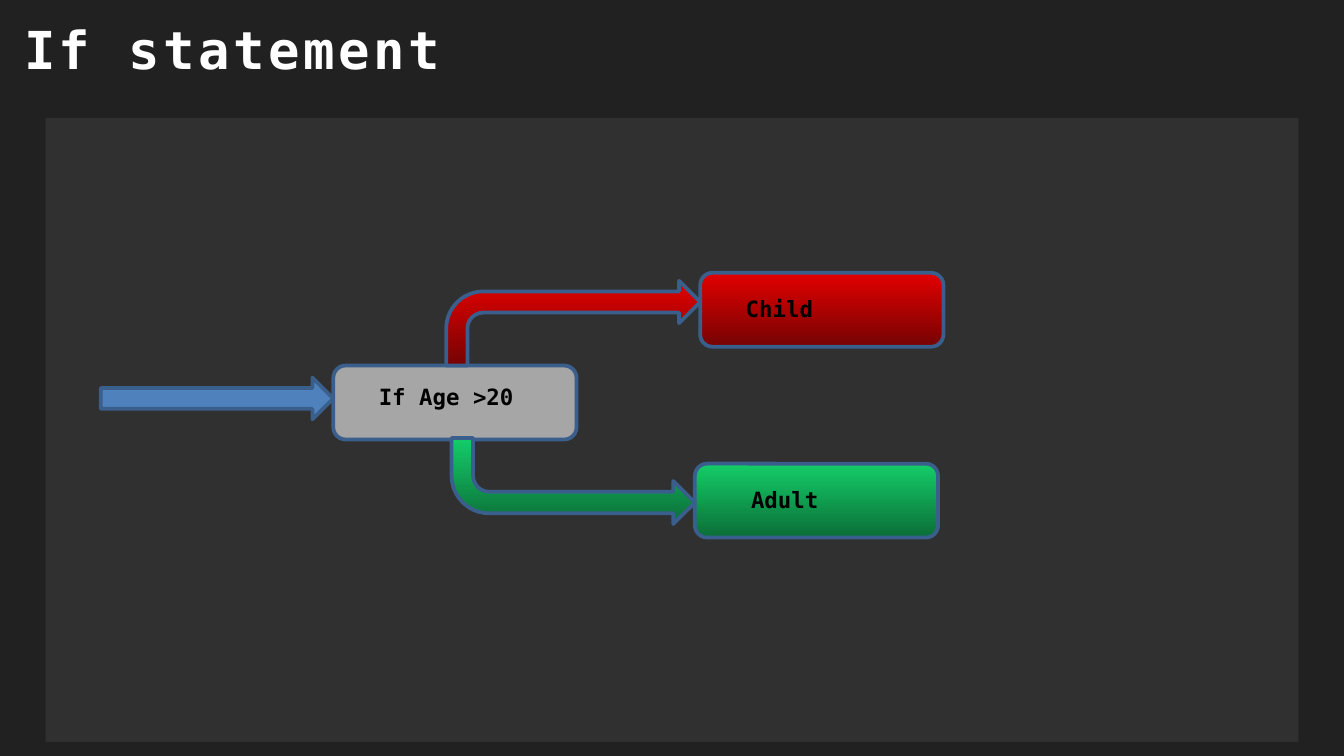
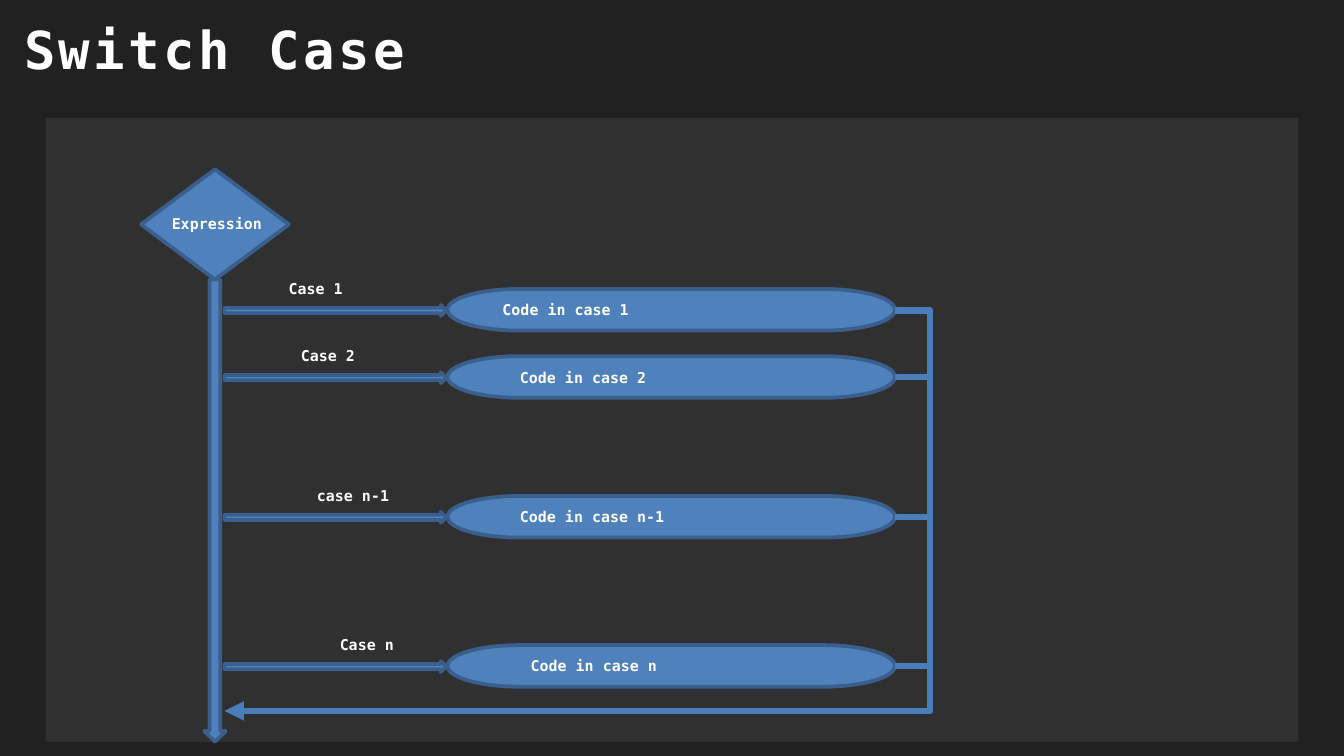
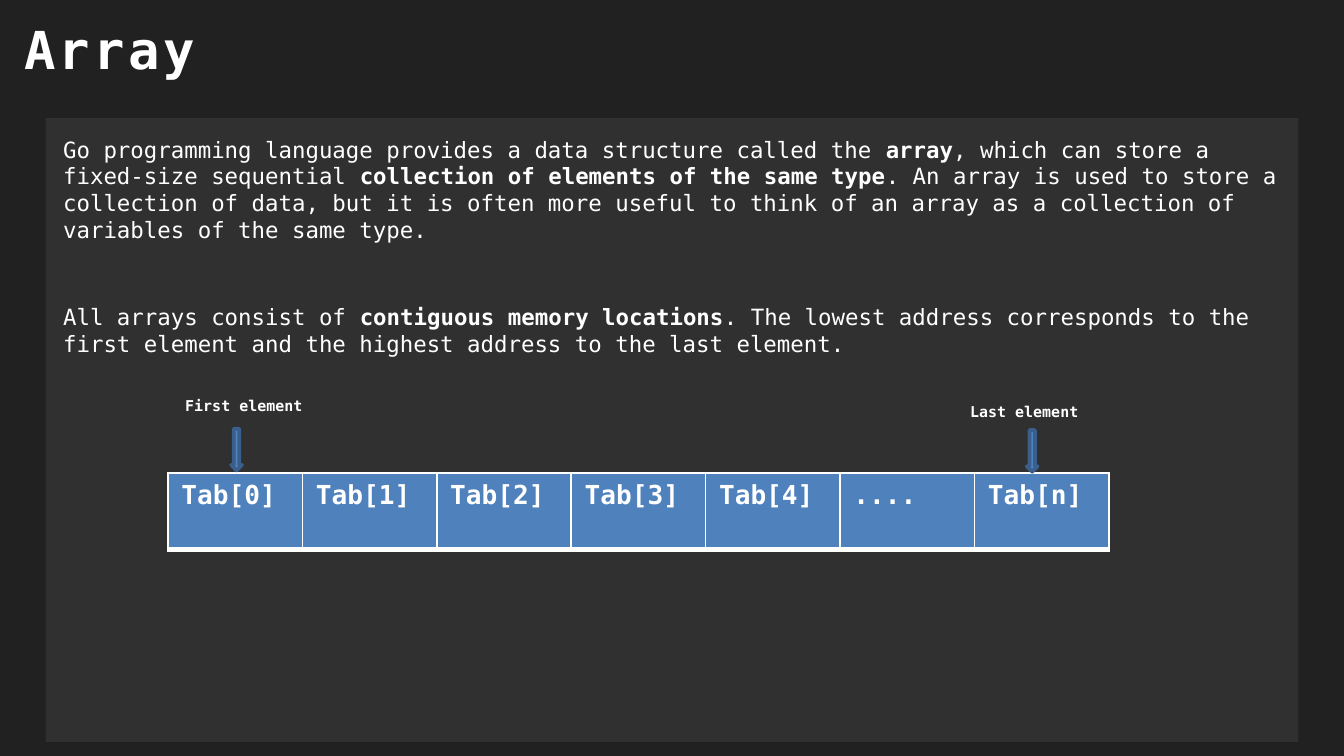
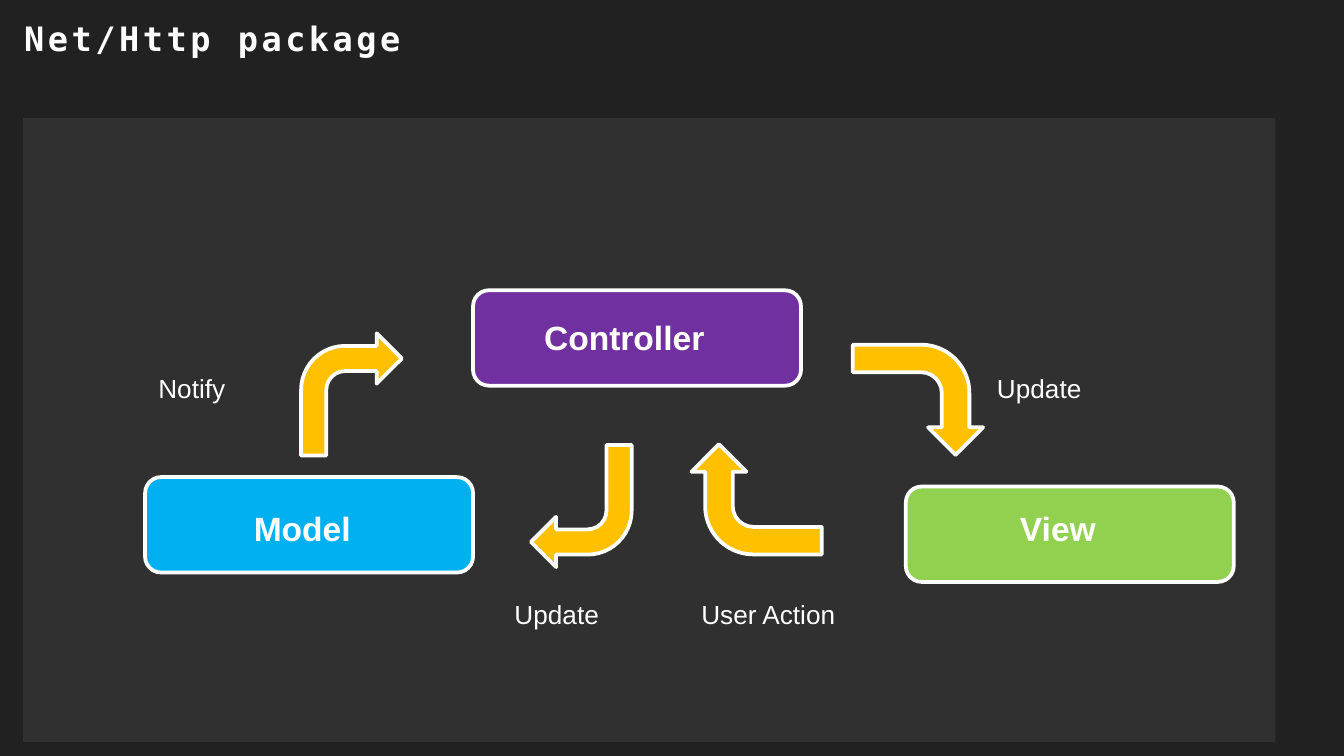
import pptx
import pptx.dml.color
import pptx.enum.shapes
import pptx.oxml
import pptx.oxml.ns
import pptx.util
from pptx.util import Inches

SHAPES = pptx.enum.shapes.MSO_SHAPE
LINES = pptx.enum.shapes.MSO_CONNECTOR
DRAWING_NS = pptx.oxml.ns.nsdecls("a")

COLORS = {
    "page": "212121", "panel": "303030", "white": "FFFFFF", "black": "000000",
    "blue": "4F81BD", "blue edge": "3A5F8C", "flow": "4A7EBB", "gray": "A6A6A6",
    "red": "E30000", "dark red": "760303",
    "green": "14CD68", "dark green": "0B6E38",
    "purple": "7030A0", "lime": "92D050", "sky": "00B0F0", "amber": "FFC000",
}
CODE_FONT = "DejaVu Sans Mono"
PLAIN_FONT = "Arial"
RIGHT_SIDE = 3


def color(name):
    return pptx.dml.color.RGBColor.from_string(COLORS[name])


class SlideMaker:
    """Holds the deck's style and the slide being drawn."""

    def __init__(self):
        self.deck = pptx.Presentation()
        self.deck.slide_width = Inches(10)
        self.deck.slide_height = Inches(10 * 9 / 16)
        self.page = None

    def start(self, title, title_size=28, panel_left=0.34):
        self.page = self.deck.slides.add_slide(self.deck.slide_layouts[6])
        background = self.page.background.fill
        background.solid()
        background.fore_color.rgb = color("page")
        self.text(0.17, 0.12, 9.66, 0.66, [[(title, True)]], title_size,
                  insets=(0.01, 0.01, 0, 0), tracking=190)
        self.shape(SHAPES.RECTANGLE, panel_left, 0.88, 9.32, 4.64, "panel", None)

    def shape(self, kind, left, top, width, height, fill="blue", edge="blue edge",
              rotation=0, flip=False):
        """A pair of fill colours makes a gradient from top to bottom."""
        shape = self.page.shapes.add_shape(
            kind, Inches(left), Inches(top), Inches(width), Inches(height))
        shape.shadow.inherit = False
        shape.rotation = rotation
        if flip:
            shape._element.spPr.xfrm.set("flipV", "1")
        if isinstance(fill, tuple):
            shape.fill.gradient()
            shape.fill.gradient_angle = 90 if flip else 270
            for stop, name, position in zip(shape.fill.gradient_stops, fill, (0, 1)):
                stop.color.rgb = color(name)
                stop.position = position
        else:
            shape.fill.solid()
            shape.fill.fore_color.rgb = color(fill)
        if edge:
            shape.line.color.rgb = color(edge)
            shape.line.width = pptx.util.Pt(2)
        else:
            shape.line.fill.background()
        return shape

    def text(self, left, top, width, height, paras, size, ink="white",
             font=CODE_FONT, insets=(0.1, 0.05, 0.1, 0.05), gap=0, tracking=None):
        """Each paragraph is a list of (words, bold) runs."""
        box = self.page.shapes.add_textbox(
            Inches(left), Inches(top), Inches(width), Inches(height))
        frame = box.text_frame
        frame.word_wrap = True
        (frame.margin_left, frame.margin_top,
         frame.margin_right, frame.margin_bottom) = map(Inches, insets)
        for index, runs in enumerate(paras):
            para = frame.add_paragraph() if index else frame.paragraphs[0]
            if index:
                para.space_before = pptx.util.Pt(gap)
            for words, bold in runs:
                span = self.run(para, words, size, bold, ink, font)
                if tracking:
                    span._r.get_or_add_rPr().set("spc", str(tracking))

    def run(self, para, words, size, bold, ink="white", font=CODE_FONT):
        span = para.add_run()
        span.text = words
        span.font.name = font
        span.font.size = pptx.util.Pt(size)
        span.font.bold = bold
        span.font.color.rgb = color(ink)
        return span

    def label(self, left, top, width, height, words, size=8, bold=True, **style):
        self.text(left, top, width, height, [[(words, bold)]], size, **style)

    def connector(self, kind, start, end, weight):
        line = self.page.shapes.add_connector(kind, *map(Inches, start + end))
        line.line.color.rgb = color("flow")
        line.line.width = pptx.util.Pt(weight)
        line._element.spPr.append(
            pptx.oxml.parse_xml(f"<a:effectLst {DRAWING_NS}/>"))
        return line

    def elbow_arrow(self, start, end, weight, bend):
        """Bend is the turning point in thousandths of a percent of the width."""
        line = self.connector(LINES.ELBOW, start, end, weight)
        guides = line._element.spPr.find(".//" + pptx.oxml.ns.qn("a:avLst"))
        guides.append(pptx.oxml.parse_xml(
            f'<a:gd {DRAWING_NS} name="adj1" fmla="val {bend}"/>'))
        line.line._get_or_add_ln().append(
            pptx.oxml.parse_xml(f'<a:tailEnd {DRAWING_NS} type="triangle"/>'))

    def row_table(self, left, top, height, entries):
        """One row of cells, each an inch wide."""
        table = self.page.shapes.add_table(
            1, len(entries), Inches(left), Inches(top),
            Inches(len(entries)), Inches(height)).table
        for cell, words in zip(table.rows[0].cells, entries):
            cell.fill.solid()
            cell.fill.fore_color.rgb = color("blue")
            self.run(cell.text_frame.paragraphs[0], words, 14, True)
            for index, side in enumerate("LRTB"):
                width = pptx.util.Pt(3 if side == "B" else 0.96)
                cell._tc.get_or_add_tcPr().insert(index, pptx.oxml.parse_xml(
                    f'<a:ln{side} {DRAWING_NS} w="{width}"><a:solidFill>'
                    f'<a:srgbClr val="{COLORS["white"]}"/>'
                    f'</a:solidFill></a:ln{side}>'))


def if_statement(maker):
    maker.start("If statement")
    red, green = ("red", "dark red"), ("green", "dark green")
    # Condition and outcomes
    for left, top, fill in ((2.48, 2.72, "gray"), (5.21, 2.03, red), (5.17, 3.45, green)):
        maker.shape(SHAPES.FLOWCHART_ALTERNATE_PROCESS, left, top, 1.81, 0.55, fill)
    # Arrows
    maker.shape(SHAPES.BENT_ARROW, 3.32, 2.09, 1.89, 0.63, red)
    maker.shape(SHAPES.BENT_ARROW, 3.36, 3.26, 1.81, 0.64, green, flip=True)
    maker.shape(SHAPES.RIGHT_ARROW, 0.75, 2.81, 1.73, 0.31)
    # Labels
    for left, top, words in ((2.72, 2.8, "If Age >20"), (5.45, 2.15, "Child"),
                             (5.49, 3.57, "Adult")):
        maker.label(left, top, 1.26, 0.3, words, 12, ink="black")


def switch_case(maker):
    maker.start("Switch Case")
    # Expression and its trunk
    maker.shape(SHAPES.FLOWCHART_DECISION, 1.05, 1.26, 1.1, 0.82)
    maker.shape(SHAPES.DOWN_ARROW, 1.52, 2.08, 0.16, 3.44)
    maker.label(1.18, 1.55, 0.9, 0.23, "Expression")
    # Case branches: top, label left, label, code left, code
    branches = (
        (2.15, 2.05, "Case 1", 3.64, "Code in case 1"),
        (2.65, 2.14, "Case 2", 3.77, "Code in case 2"),
        (3.69, 2.26, "case n-1", 3.77, "Code in case n-1"),
        (4.8, 2.43, "Case n", 3.85, "Code in case n"),
    )
    blocks = []
    for top, case_left, case, code_left, code in branches:
        maker.shape(SHAPES.RIGHT_ARROW, 1.67, top + 0.12, 1.65, 0.08)
        blocks.append(maker.shape(SHAPES.FLOWCHART_TERMINATOR, 3.33, top, 3.33, 0.31))
        maker.label(case_left, top - 0.12, 0.9, 0.23, case)
        maker.label(code_left, top + 0.04, 1.89, 0.23, code)
    # Way back to the trunk
    maker.elbow_arrow((6.66, 2.31), (1.67, 5.29), 3.5, -5200)
    for block, branch in zip(blocks[1:], branches[1:]):
        middle = branch[0] + 0.31 / 2
        joint = maker.connector(LINES.STRAIGHT, (6.66, middle), (6.9, middle), 3)
        joint.begin_connect(block, RIGHT_SIDE)


def array(maker):
    maker.start("Array")
    # Explanation
    maker.text(0.46, 1, 9.09, 4.4, [
        [("Go programming language provides a data structure called the ", False),
         ("array", True),
         (", which can store a fixed-size sequential ", False),
         ("collection of elements of the same type", True),
         (". An array is used to store a collection of data, but it is often more "
          "useful to think of an array as a collection of variables of the same "
          "type.", False)],
        [("All arrays consist of ", False),
         ("contiguous memory locations", True),
         (". The lowest address corresponds to the first element and the highest "
          "address to the last element.", False)],
    ], 12, insets=(0.01, 0.01, 0, 0), gap=32)
    # Elements
    maker.row_table(1.25, 3.52, 0.57,
                    [f"Tab[{index}]" for index in range(5)] + ["....", "Tab[n]"])
    # Pointers to both ends
    for left, top, words, arrow_left, arrow_top in (
            (1.28, 2.9, "First element", 1.72, 3.19),
            (7.12, 2.95, "Last element", 7.64, 3.2)):
        maker.label(left, top, 1.13, 0.23, words)
        maker.shape(SHAPES.DOWN_ARROW, arrow_left, arrow_top, 0.08, 0.31)


def http_package(maker):
    maker.start("Net/Http package", title_size=18, panel_left=0.17)
    # Components
    for left, top, fill in ((3.52, 2.16, "purple"), (6.74, 3.62, "lime"),
                            (1.08, 3.55, "sky")):
        maker.shape(SHAPES.ROUNDED_RECTANGLE, left, top, 2.44, 0.71, fill, "white")
    # Arrows between them
    for left, top, width, height, rotation in (
            (5.22, 3.23, 0.82, 0.97, 270), (3.95, 3.31, 0.75, 0.91, 180),
            (2.24, 2.48, 0.75, 0.91, 0), (6.42, 2.49, 0.82, 0.97, 90)):
        maker.shape(SHAPES.BENT_ARROW, left, top, width, height, "amber", "white",
                    rotation)
    # Component names
    for left, top, width, words in ((3.95, 2.31, 1.6, "Controller"),
                                    (1.79, 3.73, 1.03, "Model"),
                                    (7.49, 3.73, 0.95, "View")):
        maker.label(left, top, width, 0.4, words, 18, font=PLAIN_FONT)
    # Arrow names
    for left, top, width, words in ((1.08, 2.72, 1.03, "Notify"),
                                    (3.73, 4.4, 1.03, "Update"),
                                    (5.12, 4.4, 1.52, "User Action"),
                                    (7.32, 2.72, 1.03, "Update")):
        maker.label(left, top, width, 0.34, words, 14, False, font=PLAIN_FONT)


def main():
    maker = SlideMaker()
    for build in (if_statement, switch_case, array, http_package):
        build(maker)
    maker.deck.save("out.pptx")


if __name__ == "__main__":
    main()
